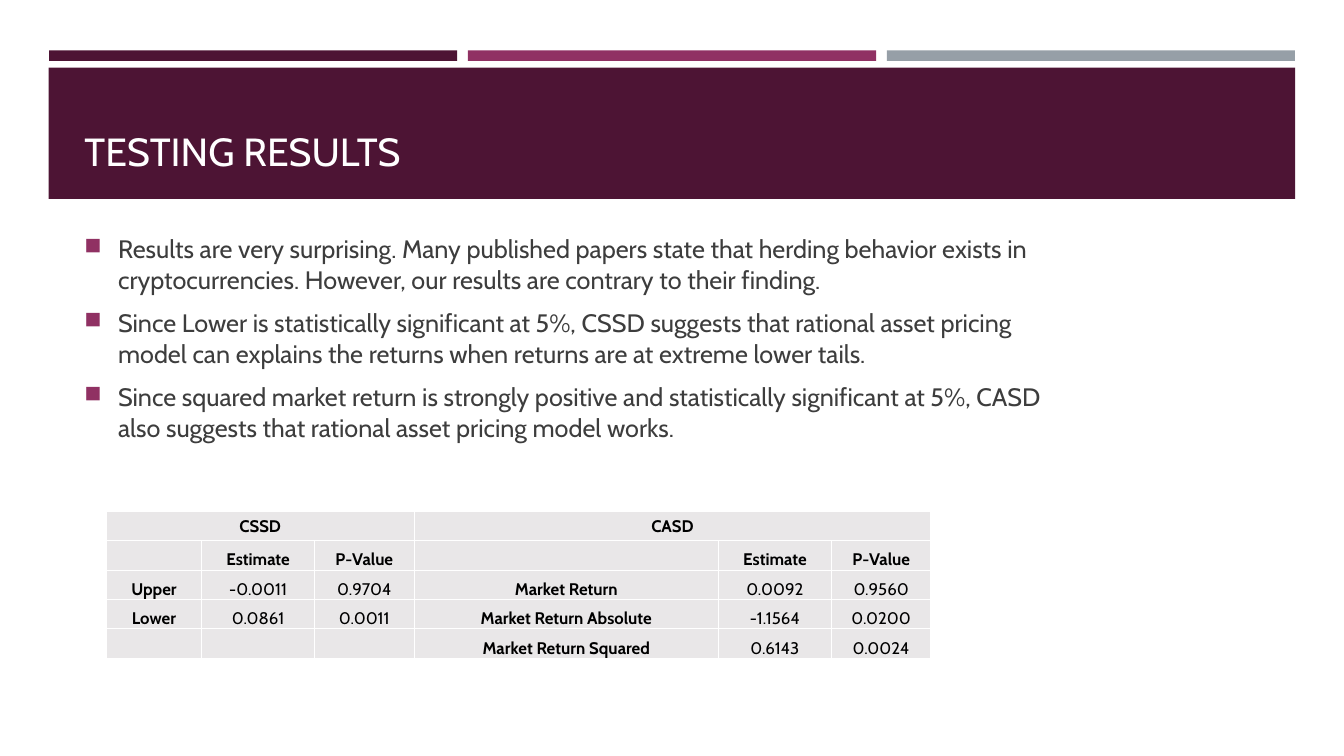
from pptx import Presentation
from pptx.dml.color import RGBColor
from pptx.enum.shapes import MSO_SHAPE
from pptx.enum.text import MSO_ANCHOR, PP_ALIGN
from pptx.oxml.ns import qn
from pptx.util import Pt
from lxml import etree

RECTANGLE = MSO_SHAPE.RECTANGLE
TOP, MIDDLE, BOTTOM = MSO_ANCHOR.TOP, MSO_ANCHOR.MIDDLE, MSO_ANCHOR.BOTTOM
CENTER = PP_ALIGN.CENTER

FONT = "Cabin"
PLUM, BERRY, GREY, WHITE = "4D1434", "903163", "969FA7", "FFFFFF"
BODY_COLOR, CELL_COLOR, BLACK = "3D3D3D", "E9E7E8", "000000"

TITLE = "TESTING RESULTS"
FINDINGS = [
    "Results are very surprising. Many published papers state that herding behavior exists in "
    "cryptocurrencies. However, our results are contrary to their finding.",
    "Since Lower is statistically significant at 5%, CSSD suggests that rational asset pricing "
    "model can explains the returns when returns are at extreme lower tails.",
    "Since squared market return is strongly positive and statistically significant at 5%, CASD "
    "also suggests that rational asset pricing model works.",
]
ESTIMATES = [
    ["CSSD", "", "", "CASD", "", ""],
    ["", "Estimate", "P-Value", "", "Estimate", "P-Value"],
    ["Upper", "-0.0011", "0.9704", "Market Return", "0.0092", "0.9560"],
    ["Lower", "0.0861", "0.0011", "Market Return Absolute", "-1.1564", "0.0200"],
    ["", "", "", "Market Return Squared", "0.6143", "0.0024"],
]
COLUMN_WIDTHS = [68.2, 80.6, 71.2, 217.4, 80.6, 71.2]
ROW_HEIGHT = 21
LABEL_COLUMNS = (0, 3)
HEADER_ROWS = 2

ACCENTS = [PLUM, BERRY, GREY]
ACCENT_LEFT, ACCENT_WIDTH, ACCENT_STEP = 35, 291.6, 299.2
BANNER = (34.7, 48.3, 890.4, 93.8)
TITLE_BOX = (53.3, 56.9, 676.8, 71.3)
BODY_BOX = (53.3, 163.4, 722.9, 334)
TABLE_LEFT, TABLE_TOP = 75.9, 365.3


def color(hex_value):
    return RGBColor.from_string(hex_value)


def apply(target, values):
    for name, value in values.items():
        setattr(target, name, value)


def add_bar(page, place, fill):
    bar = page.shapes.add_shape(RECTANGLE, *map(Pt, place))
    bar.shadow.inherit = False
    bar.fill.solid()
    bar.fill.fore_color.rgb = color(fill)
    bar.line.fill.background()


def add_span(para, text, size, hex_value, bold=False):
    span = para.add_run()
    span.text = text
    apply(span.font, {"name": FONT, "size": Pt(size), "bold": bold})
    span.font.color.rgb = color(hex_value)


def add_box(page, place, anchor):
    frame = page.shapes.add_textbox(*map(Pt, place)).text_frame
    apply(frame, {"word_wrap": True, "vertical_anchor": anchor})
    return frame


def add_bullet(para):
    properties = para._p.get_or_add_pPr()
    apply(para, {"space_before": Pt(3.6), "space_after": Pt(6)})
    indent = Pt(24)
    properties.set("marL", str(indent))
    properties.set("indent", str(-indent))
    tint = etree.SubElement(properties, qn("a:buClr"))
    etree.SubElement(tint, qn("a:srgbClr"), val=BERRY)
    etree.SubElement(properties, qn("a:buSzPct"), val="92000")
    etree.SubElement(properties, qn("a:buChar"), char="■")


def add_borders(cell):
    properties = cell._tc.get_or_add_tcPr()
    for position, side in enumerate(("lnL", "lnR", "lnT", "lnB")):
        line = etree.Element(qn(f"a:{side}"), w=str(Pt(1)))
        fill = etree.SubElement(line, qn("a:solidFill"))
        etree.SubElement(fill, qn("a:srgbClr"), val=WHITE)
        properties.insert(position, line)


def fill_cell(cell, text, row, column):
    apply(cell, {
        "margin_left": Pt(0.7), "margin_right": Pt(0.7), "margin_top": Pt(0.7),
        "margin_bottom": 0, "vertical_anchor": BOTTOM if row else MIDDLE,
    })
    cell.fill.solid()
    cell.fill.fore_color.rgb = color(CELL_COLOR)
    add_borders(cell)
    para = cell.text_frame.paragraphs[0]
    para.alignment = CENTER
    if text:
        bold = row < HEADER_ROWS or column in LABEL_COLUMNS
        add_span(para, text, 12, BLACK, bold)
    else:
        etree.SubElement(para._p, qn("a:endParaRPr"), sz="1200")


def add_estimates(page):
    size = (sum(COLUMN_WIDTHS), ROW_HEIGHT * len(ESTIMATES))
    table = page.shapes.add_table(
        len(ESTIMATES), len(COLUMN_WIDTHS), *map(Pt, (TABLE_LEFT, TABLE_TOP, *size))
    ).table
    apply(table, {"first_row": False, "horz_banding": False})
    for column, width in zip(table.columns, COLUMN_WIDTHS):
        column.width = Pt(width)
    for row, values in enumerate(ESTIMATES):
        table.rows[row].height = Pt(ROW_HEIGHT)
        for column, text in enumerate(values):
            fill_cell(table.cell(row, column), text, row, column)
    for first in LABEL_COLUMNS:
        table.cell(0, first).merge(table.cell(0, first + 2))


def main():
    """Build the testing results slide."""
    deck = Presentation()
    apply(deck, {"slide_width": Pt(960), "slide_height": Pt(540)})
    page = deck.slides.add_slide(deck.slide_layouts[6])

    for index, accent in enumerate(ACCENTS):
        left = ACCENT_LEFT + index * ACCENT_STEP
        add_bar(page, (left, 36, ACCENT_WIDTH, 7.5), accent)
    add_bar(page, BANNER, PLUM)

    title = add_box(page, TITLE_BOX, BOTTOM)
    add_span(title.paragraphs[0], TITLE, 28, WHITE)

    body = add_box(page, BODY_BOX, TOP)
    for index, finding in enumerate(FINDINGS):
        para = body.add_paragraph() if index else body.paragraphs[0]
        add_bullet(para)
        add_span(para, finding, 18, BODY_COLOR)

    add_estimates(page)
    deck.save("out.pptx")


if __name__ == "__main__":
    main()
